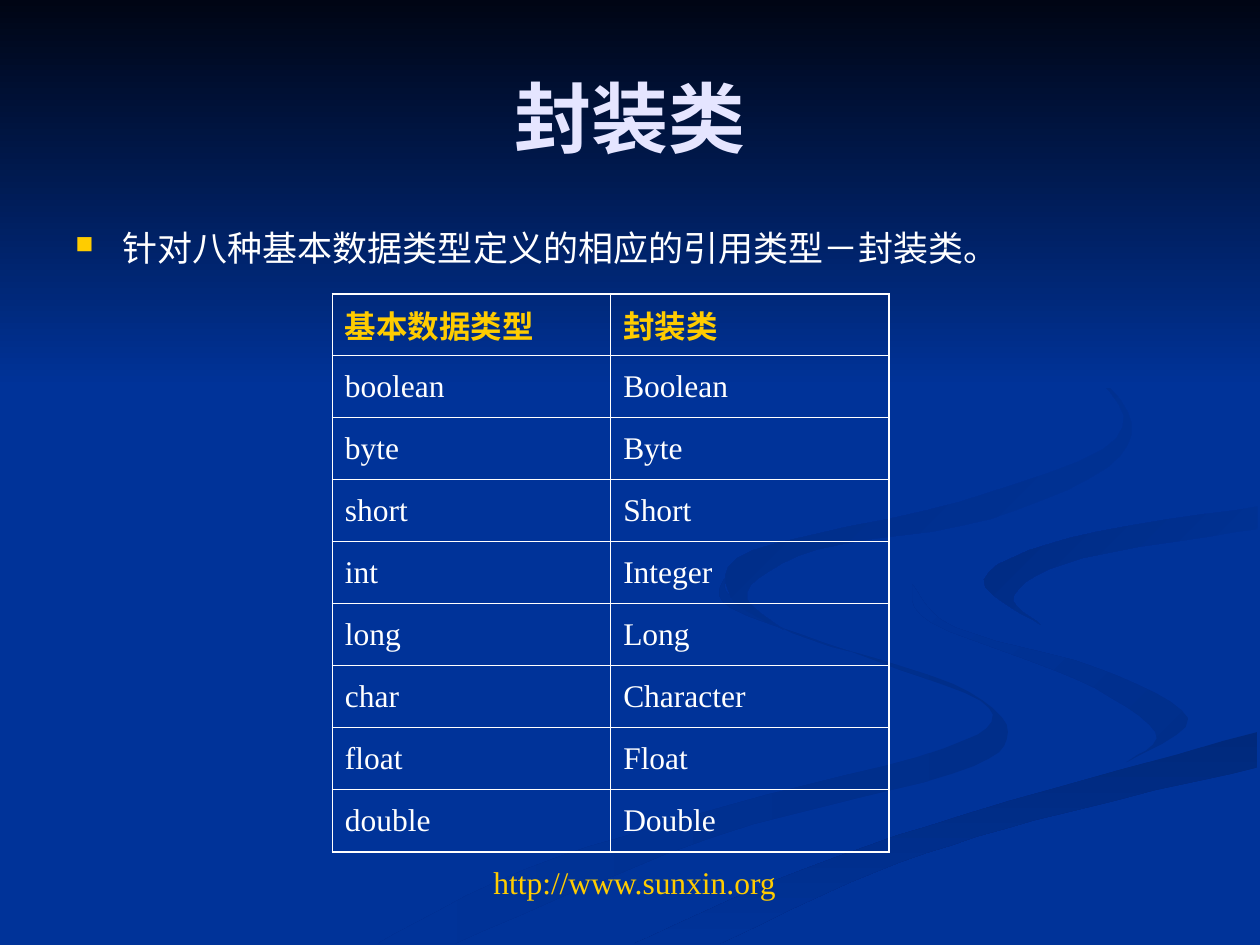
from dataclasses import dataclass

from lxml.etree import SubElement as Sub
from pptx import Presentation
from pptx.dml.color import RGBColor as Rgb
from pptx.enum.shapes import MSO_SHAPE as Kind
from pptx.enum.text import MSO_ANCHOR as Anchor, PP_ALIGN as Align
from pptx.oxml import parse_xml
from pptx.oxml.ns import nsdecls, qn
from pptx.util import Cm, Pt


@dataclass(frozen=True)
class Theme:
    font: str = "Times New Roman"
    blue: str = "003399"
    night: str = "000514"
    dusk: str = "002E8A"
    deep: str = "00297C"
    shade: str = "002B81"
    white: str = "FFFFFF"
    gold: str = "FFCC00"
    pale: str = "E5E5FF"
    head: int = 44
    body: int = 20
    small: int = 18
    thick: float = 1.08
    thin: float = 0.45


theme = Theme()

# Two edges in hundredths of an inch, then first colour, last colour and angle.
RIBBONS = [
    ([(575, 459), (581, 483), (697, 525), (785, 562), (749, 594), (579, 639),
      (417, 690), (300, 749)],
     [(575, 459), (583, 477), (642, 507), (757, 543), (800, 581), (756, 614),
      (564, 665), (361, 749)], theme.dusk, theme.blue, 180),
    ([(724, 464), (739, 494), (854, 539), (917, 581), (894, 605)],
     [(724, 464), (758, 498), (870, 530), (943, 570), (894, 605)],
     theme.dusk, theme.blue, 225),
    ([(503, 749), (630, 693), (764, 647), (998, 581)],
     [(571, 749), (695, 692), (821, 651), (998, 609)],
     theme.deep, theme.blue, 90),
    ([(998, 402), (849, 427), (781, 460), (826, 496)],
     [(998, 420), (859, 443), (805, 472), (826, 496)],
     theme.blue, theme.shade, 225),
    ([(762, 233), (862, 292), (886, 348), (763, 398), (597, 437), (580, 474),
      (622, 500)],
     [(762, 233), (880, 307), (889, 362), (786, 412), (649, 436), (593, 470),
      (622, 500)], theme.blue, theme.shade, 225),
]

TEXTS = [
    ("封装类", (1.27, 0.76, 22.86, 3.18), Align.CENTER,
     theme.head, theme.pale, True),
    ("针对八种基本数据类型定义的相应的引用类型－封装类。", (1.27, 4.45, 23.24, 1.47),
     Align.LEFT, theme.body, theme.white, False),
    ("http://www.sunxin.org", (4.5, 17.27, 16.59, 1.02), Align.CENTER,
     theme.small, theme.gold, False),
]

ROWS = [
    ("基本数据类型", "封装类"),
    ("boolean", "Boolean"),
    ("byte", "Byte"),
    ("short", "Short"),
    ("int", "Integer"),
    ("long", "Long"),
    ("char", "Character"),
    ("float", "Float"),
    ("double", "Double"),
]


def smooth(knots, steps=6):
    """Return points on a Catmull-Rom curve through the knots."""
    ring = [knots[0], *knots, knots[-1]]
    curve = []
    for quad in zip(ring, ring[1:], ring[2:], ring[3:]):
        for n in range(steps):
            t = n / steps
            curve.append(tuple(
                b + t * (c - a) / 2 + t**2 * (2 * a - 5 * b + 4 * c - d) / 2
                + t**3 * (3 * b - a - 3 * c + d) / 2
                for a, b, c, d in zip(*quad)))
    return curve + [knots[-1]]


def style(para, size, color, bold=False):
    font = para.font
    font.name, font.size, font.bold = theme.font, Pt(size), bold
    font.color.rgb = Rgb.from_string(color)


prs = Presentation()
prs.slide_width, prs.slide_height = Cm(25.4), Cm(19.05)
slide = prs.slides.add_slide(prs.slide_layouts[6])
back = slide.background.fill
back.solid()
back.fore_color.rgb = Rgb.from_string(theme.blue)

# Backdrop
layers = []
for near, far, *paint in RIBBONS:
    points = smooth(near) + smooth(far)[::-1]
    pen = slide.shapes.build_freeform(*points[0], scale=Cm(0.0254))
    pen.add_line_segments(points[1:], close=True)
    layers.append((pen.convert_to_shape(), *paint))
sky = slide.shapes.add_shape(Kind.RECTANGLE, 0, 0, prs.slide_width, Cm(7.82))
layers.append((sky, theme.night, theme.blue, 90))
for shape, first, last, angle in layers:
    shape.shadow.inherit = False
    shape.line.fill.background()
    shape.fill.gradient()
    shape.fill.gradient_angle = 360 - angle
    for stop, color, place in zip(shape.fill.gradient_stops, (first, last), (0, 1)):
        stop.color.rgb = Rgb.from_string(color)
        stop.position = place

# Title, bullet and web address
frames = []
for text, box, align, *look in TEXTS:
    frame = slide.shapes.add_textbox(*map(Cm, box)).text_frame
    frame.word_wrap = True
    frame.text = text
    frame.paragraphs[0].alignment = align
    frames.append((frame, look))
title, body = frames[0][0], frames[1][0]
title.vertical_anchor = Anchor.MIDDLE
props = body.paragraphs[0]._p.get_or_add_pPr()
props.set("marL", str(Cm(0.95)))
props.set("indent", str(-Cm(0.95)))
Sub(Sub(props, qn("a:buClr")), qn("a:srgbClr"), val=theme.gold)
Sub(props, qn("a:buSzPct"), val="70000")
Sub(props, qn("a:buChar"), char="■")
for frame, look in frames:
    style(frame.paragraphs[0], *look)

# Table
end = len(ROWS) - 1
grid = slide.shapes.add_table(
    len(ROWS), 2, Cm(6.7), Cm(5.92), Cm(11.22), Cm(11.25)).table
grid.first_row = grid.horz_banding = False
for r, row in enumerate(ROWS):
    for c, text in enumerate(row):
        cell = grid.cell(r, c)
        cell.text = text
        cell.vertical_anchor = Anchor.MIDDLE
        cell.fill.background()
        style(cell.text_frame.paragraphs[0], theme.small,
              theme.white if r else theme.gold, r == 0)
        outer = {"L": c == 0, "R": c == 1, "T": r == 0, "B": r == end}
        for i, (side, edge) in enumerate(outer.items()):
            width = Pt(theme.thick if edge else theme.thin)
            cell._tc.get_or_add_tcPr().insert(i, parse_xml(
                f'<a:ln{side} {nsdecls("a")} w="{width}"><a:solidFill>'
                f'<a:srgbClr val="{theme.white}"/></a:solidFill></a:ln{side}>'))

prs.save("out.pptx")
